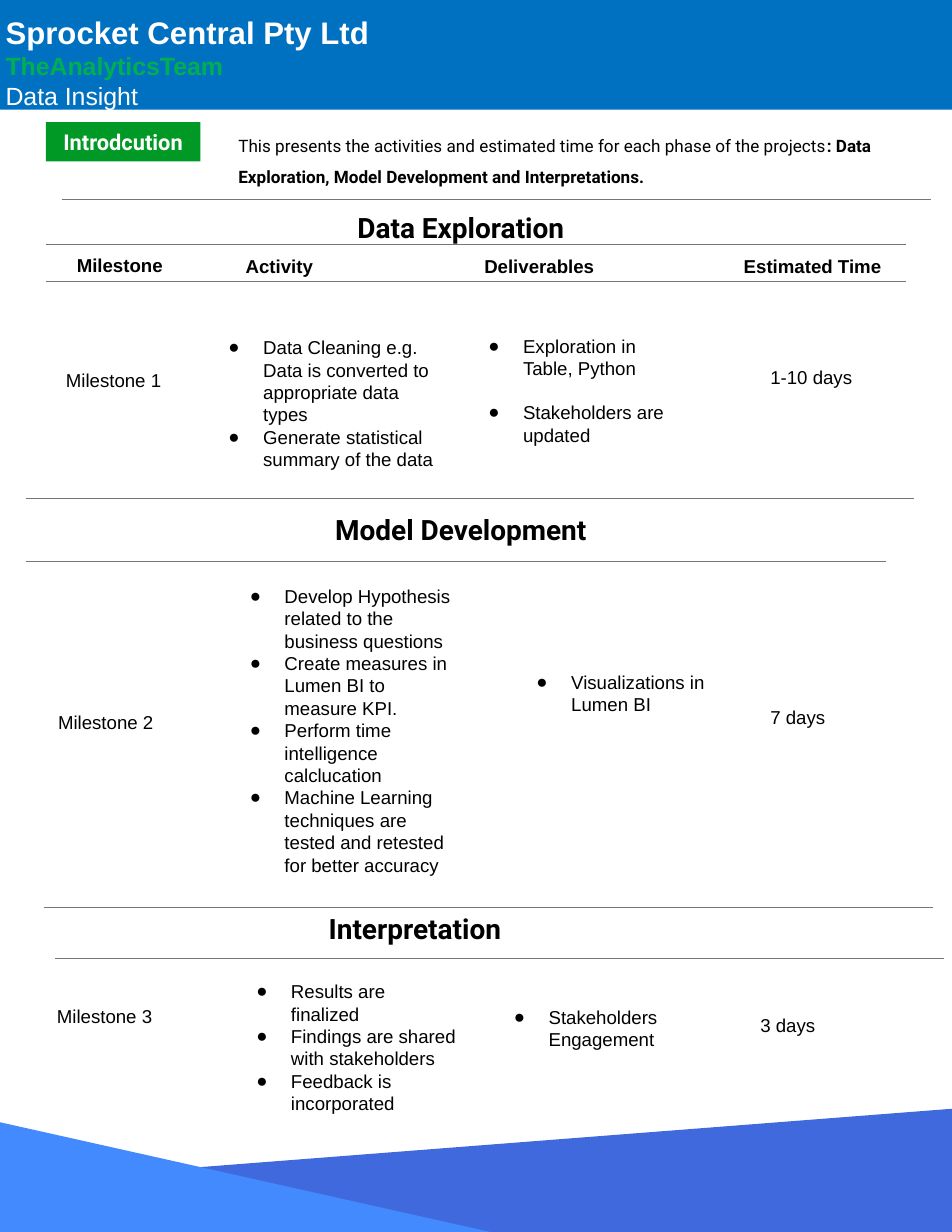
from lxml.etree import SubElement
from pptx import Presentation
from pptx.dml.color import RGBColor
from pptx.enum.shapes import MSO_CONNECTOR, MSO_SHAPE
from pptx.enum.text import MSO_ANCHOR, MSO_AUTO_SIZE, PP_ALIGN
from pptx.oxml.ns import qn
from pptx.util import Inches, Pt

COLORS = {"bar": "0070C0", "team": "00B050", "tag": "009925", "rule": "757575",
          "dark": "4069DD", "light": "448AFF", "ink": "000000", "white": "FFFFFF"}

# Offsets are from the top left of each section box; rules are (x, y, width)
PARTS = [
    {"box": (0.41, 1.78), "title": "Data Exploration", "head": (1.72, 0),
     "rules": [(0.14, 0, 7.76), (0, 0.4, 7.68), (0, 0.73, 7.68)],
     "name": ("Milestone 1", 0.08, 1.41), "time": ("1-10 days", 6.37, 1.39),
     "lists": [
         (1.34, 1.12, 2.25, 0, ["Data Cleaning e.g. Data is converted to appropriate data types",
                                "Generate statistical summary of the data"]),
         (3.66, 1.11, 2.14, 13.8, ["Exploration in Table, Python", "Stakeholders are updated"])]},
    {"box": (0.23, 4.45), "title": "Model Development", "head": (1.9, 0.03),
     "rules": [(0, 0, 7.93), (0, 0.56, 7.68)],
     "name": ("Milestone 2", 0.19, 1.8), "time": ("7 days", 6.55, 1.75),
     "lists": [
         (1.71, 0.67, 2.25, 0, ["Develop Hypothesis related to the business questions",
                                "Create measures in Lumen BI to measure KPI.",
                                "Perform time intelligence calclucation",
                                "Machine Learning techniques are tested and retested for better accuracy"]),
         (4.27, 1.44, 2.17, 0, ["Visualizations in Lumen BI"])]},
    {"box": (0.39, 8.1), "title": "Interpretation", "head": (1.33, -0.06),
     "rules": [(0, 0, 7.94), (0.1, 0.46, 7.94)],
     "name": ("Milestone 3", 0.02, 0.77), "time": ("3 days", 6.3, 0.85),
     "lists": [
         (1.61, 0.55, 2.17, 0, ["Results are finalized", "Findings are shared with stakeholders",
                                "Feedback is incorporated"]),
         (3.91, 0.78, 2.17, 0, ["Stakeholders Engagement"])]},
]


def color(key):
    return RGBColor.from_string(COLORS[key])


def paint(shape, key):
    shape.fill.solid()
    shape.fill.fore_color.rgb = color(key)
    shape.line.fill.background()
    shape.shadow.inherit = False


def dot(par):
    """Give a paragraph a hanging round bullet."""
    props = par._p.get_or_add_pPr()
    props.set("marL", str(Inches(0.5)))
    props.set("indent", str(Inches(-0.31)))
    tint = SubElement(props, qn("a:buClr"))
    SubElement(tint, qn("a:srgbClr"), val=COLORS["ink"])
    SubElement(props, qn("a:buFont"), typeface="Arial")
    SubElement(props, qn("a:buChar"), char="●")


def write(slide, box, lines, shape=None, size=12, font="Arial", ink="ink", bold=False,
          align=PP_ALIGN.LEFT, anchor=MSO_ANCHOR.TOP, inset=0.1, top=None,
          space=1, gap=0, bullet=False):
    """Each line is a string or a list of (text, changes) runs."""
    x, y, w, h = (Inches(n) for n in box)
    if shape is None:
        shape = slide.shapes.add_textbox(x, y, w, h)
    shape.left, shape.top, shape.width, shape.height = x, y, w, h
    frame = shape.text_frame
    frame.word_wrap, frame.auto_size = True, MSO_AUTO_SIZE.NONE
    frame.vertical_anchor = anchor
    frame.margin_left = frame.margin_right = frame.margin_bottom = Inches(inset)
    frame.margin_top = Inches(inset if top is None else top)
    for i, line in enumerate(lines):
        par = frame.add_paragraph() if i else frame.paragraphs[0]
        par.alignment, par.line_spacing = align, space
        par.space_before, par.space_after = Pt(gap if i else 0), Pt(0)
        if bullet:
            dot(par)
        for words, change in [(line, {})] if isinstance(line, str) else line:
            look = {"size": size, "ink": ink, "bold": bold, **change}
            run = par.add_run()
            run.text = words
            run.font.name, run.font.size = font, Pt(look["size"])
            run.font.bold = look["bold"]
            run.font.color.rgb = color(look["ink"])
    return shape


def rule(slide, x, y, w):
    line = slide.shapes.add_connector(MSO_CONNECTOR.STRAIGHT, Inches(x), Inches(y),
                                      Inches(x + w), Inches(y))
    line.line.color.rgb = color("rule")
    line.line.width = Pt(0.75)
    SubElement(line._element.spPr, qn("a:effectLst"))


def footer(slide, box):
    x, y, w, h = box
    bands = [("dark", [(w, h), (w, 0), (0, 0.66), (0, h)]),
             ("light", [(4.38, h), (0, 0.12), (0, h)])]
    for key, spots in bands:
        spots = [(Inches(x + a), Inches(y + b)) for a, b in spots]
        form = slide.shapes.build_freeform(*spots[0], scale=1.0)
        form.add_line_segments(spots[1:], close=True)
        paint(form.convert_to_shape(), key)


def header(slide, box):
    bar = slide.shapes.title
    paint(bar, "bar")
    write(slide, box, [
        [("Sprocket Central Pty Ltd", {"size": 20, "bold": True})],
        [("TheAnalyticsTeam", {"ink": "team", "bold": True})],
        "Data Insight"], shape=bar, size=16, ink="white", inset=0.05, top=0.12)


def intro(slide, box):
    x, y, w, h = box
    tag = slide.shapes.add_shape(MSO_SHAPE.RECTANGLE, 0, 0, 0, 0)
    paint(tag, "tag")
    write(slide, (x, y + 0.07, 1.38, 0.35), ["Introdcution"], shape=tag, size=14,
          font="Roboto", ink="white", bold=True, align=PP_ALIGN.CENTER,
          anchor=MSO_ANCHOR.MIDDLE, inset=0.07)
    write(slide, (x + 1.62, y, w - 1.62, h), [[
        ("This presents the activities and estimated time for each phase of the projects", {}),
        (": Data Exploration, Model Development and Interpretations.", {"bold": True})]],
        size=11, font="Roboto", space=1.5)


def heads(slide, box):
    x, y, w, h = box
    cols = [("Milestone", 0.14, 1.04, -0.01), ("Activity", 1.62, 0.93, 0),
            ("Deliverables", 3.51, 1.79, 0), ("Estimated Time", 6.06, 1.57, 0)]
    for words, dx, wide, dy in cols:
        write(slide, (x + dx, y + dy, wide, h), [words], bold=True, align=PP_ALIGN.CENTER)


def section(slide, part, bodies):
    x, y = part["box"]
    for dx, dy, w in part["rules"]:
        rule(slide, x + dx, y + dy, w)
    dx, dy = part["head"]
    write(slide, (x + dx, y + dy, 3.97, 0.41), [part["title"]], size=18,
          font="Roboto", bold=True, align=PP_ALIGN.CENTER)
    for key in ("name", "time"):
        words, dx, dy = part[key]
        write(slide, (x + dx, y + dy, 1.3, 0.4), [words])
    for dx, dy, w, gap, items in part["lists"]:
        # Body placeholders first, then text boxes
        body = bodies.pop(0) if bodies else None
        high = 0.2 + 0.6 * len(items)
        write(slide, (x + dx, y + dy, w, high), items, shape=body, gap=gap, bullet=True)


def main():
    deck = Presentation()
    deck.slide_width, deck.slide_height = Inches(8.5), Inches(11)
    slide = deck.slides.add_slide(deck.slide_layouts[4])
    bodies = [p for p in slide.placeholders if p.placeholder_format.idx]
    footer(slide, (0, 9.9, 8.5, 1.1))
    header(slide, (0, 0, 8.5, 0.98))
    intro(slide, (0.41, 1.02, 7.68, 0.7))
    heads(slide, (0.41, 2.18, 7.68, 0.4))
    for part in PARTS:
        section(slide, part, bodies)
    deck.save("out.pptx")


if __name__ == "__main__":
    main()
